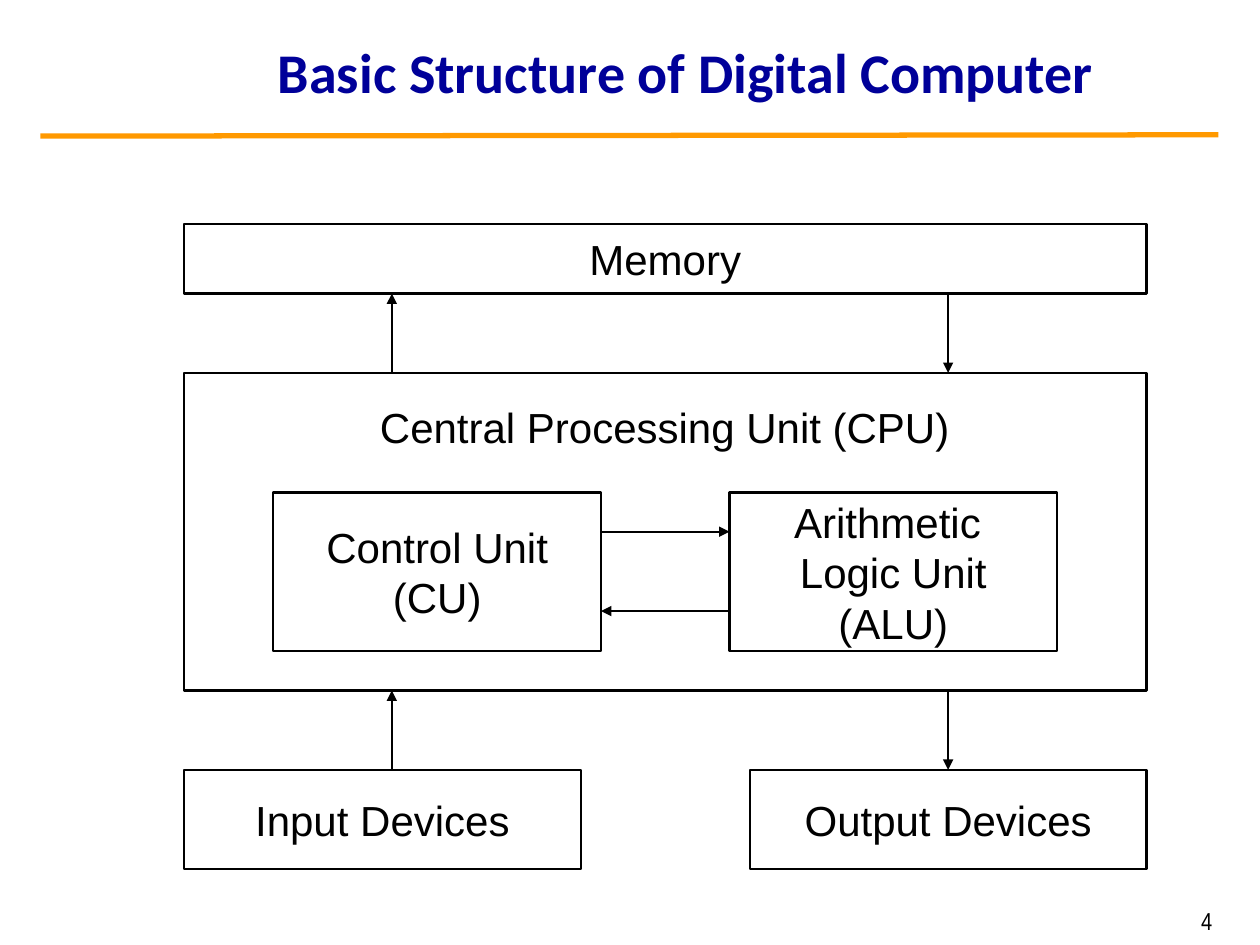
from lxml.etree import SubElement
from pptx import Presentation
from pptx.dml.color import RGBColor
from pptx.enum.shapes import MSO_CONNECTOR, MSO_SHAPE
from pptx.enum.text import MSO_ANCHOR, PP_ALIGN
from pptx.oxml.ns import qn
from pptx.util import Inches, Pt

COLORS = {"title": "000099", "rule": "FF9900", "ink": "000000"}
TITLE_FONT = {"name": "Calibri", "size": Pt(32), "bold": True}
LABEL_FONT = {"name": "Arial", "size": Pt(24)}
NUMBER_FONT = {"name": "Arial Narrow", "size": Pt(14)}

LEFT, WIDTH = 1.46, 7.64
MEMORY_TOP, MEMORY_BOTTOM = 1.78, 2.33
CPU_TOP, CPU_BOTTOM = 2.96, 5.48
UNIT_TOP, UNIT_WIDTH, UNIT_HEIGHT = 3.91, 2.6, 1.26
CONTROL_LEFT, ALU_LEFT = 2.17, 5.79
DEVICE_TOP, DEVICE_WIDTH, DEVICE_HEIGHT = 6.11, 3.15, 0.79
OUTPUT_LEFT = LEFT + WIDTH - DEVICE_WIDTH
UP_X, DOWN_X = 3.11, OUTPUT_LEFT + DEVICE_WIDTH / 2


def color(name):
    return RGBColor.from_string(COLORS[name])


def write(shape, lines, font, color_name="ink", align=PP_ALIGN.CENTER,
          anchor=MSO_ANCHOR.MIDDLE, wrap=False):
    frame = shape.text_frame
    frame.text = "\n".join(lines)
    frame.word_wrap = wrap
    frame.vertical_anchor = anchor
    for paragraph in frame.paragraphs:
        paragraph.alignment = align
        for key, value in font.items():
            setattr(paragraph.font, key, value)
        paragraph.font.color.rgb = color(color_name)


def add_box(shapes, box, *lines):
    shape = shapes.add_shape(MSO_SHAPE.RECTANGLE, *map(Inches, box))
    shape.shadow.inherit = False
    shape.fill.background()
    shape.line.color.rgb = color("ink")
    shape.line.width = Pt(1.25)
    if lines:
        write(shape, lines, LABEL_FONT)
    return shape


def add_line(shapes, start, end, color_name="ink", width=1.25):
    line = shapes.add_connector(MSO_CONNECTOR.STRAIGHT, *map(Inches, (*start, *end)))
    line.line.color.rgb = color(color_name)
    line.line.width = Pt(width)
    SubElement(line._element.spPr, qn("a:effectLst"))
    return line


def add_arrow(shapes, start, end):
    arrow = add_line(shapes, start, end)
    SubElement(arrow.line._get_or_add_ln(), qn("a:tailEnd"), type="triangle")
    return arrow


def add_title(slide, text):
    title = slide.shapes.title
    title.left, title.top, title.width, title.height = map(Inches, (1.22, 0.13, 8.45, 0.87))
    write(title, [text], TITLE_FONT, "title", wrap=True)


def add_cpu(slide):
    """Group the CPU frame with its two units and the arrows between them."""
    shapes = slide.shapes.add_group_shape().shapes
    add_box(shapes, (LEFT, CPU_TOP, WIDTH, CPU_BOTTOM - CPU_TOP))
    heading = shapes.add_textbox(*map(Inches, (2.78, 3.14, 4.99, 0.5)))
    write(heading, ["Central Processing Unit (CPU)"], LABEL_FONT)
    add_box(shapes, (CONTROL_LEFT, UNIT_TOP, UNIT_WIDTH, UNIT_HEIGHT),
            "Control Unit", "(CU)")
    add_box(shapes, (ALU_LEFT, UNIT_TOP, UNIT_WIDTH, UNIT_HEIGHT),
            "Arithmetic ", "Logic Unit", "(ALU)")
    control_right = CONTROL_LEFT + UNIT_WIDTH
    add_arrow(shapes, (control_right, 4.22), (ALU_LEFT, 4.22))
    add_arrow(shapes, (ALU_LEFT, 4.85), (control_right, 4.85))


def add_slide_number(slide, number):
    box = slide.shapes.add_textbox(*map(Inches, (7.36, 7.14, 2.36, 0.31)))
    write(box, [number], NUMBER_FONT, align=PP_ALIGN.RIGHT,
          anchor=MSO_ANCHOR.TOP, wrap=True)


def main():
    presentation = Presentation()
    presentation.slide_width, presentation.slide_height = Inches(10), Inches(7.5)
    slide = presentation.slides.add_slide(presentation.slide_layouts[5])
    shapes = slide.shapes

    add_line(shapes, (0.32, 1.08), (9.67, 1.07), "rule", 3)
    add_title(slide, "Basic Structure of Digital Computer")
    add_box(shapes, (LEFT, MEMORY_TOP, WIDTH, MEMORY_BOTTOM - MEMORY_TOP), "Memory")
    add_box(shapes, (LEFT, DEVICE_TOP, DEVICE_WIDTH, DEVICE_HEIGHT), "Input Devices")
    output = add_box(shapes, (OUTPUT_LEFT, DEVICE_TOP, DEVICE_WIDTH, DEVICE_HEIGHT),
                     "Output Devices")
    add_cpu(slide)

    add_arrow(shapes, (UP_X, DEVICE_TOP), (UP_X, CPU_BOTTOM))
    to_output = add_arrow(shapes, (DOWN_X, CPU_BOTTOM), (DOWN_X, DEVICE_TOP))
    to_output.end_connect(output, 0)
    add_arrow(shapes, (UP_X, CPU_TOP), (UP_X, MEMORY_BOTTOM))
    add_arrow(shapes, (DOWN_X, MEMORY_BOTTOM), (DOWN_X, CPU_TOP))
    add_slide_number(slide, " 4")

    presentation.save("out.pptx")


if __name__ == "__main__":
    main()
